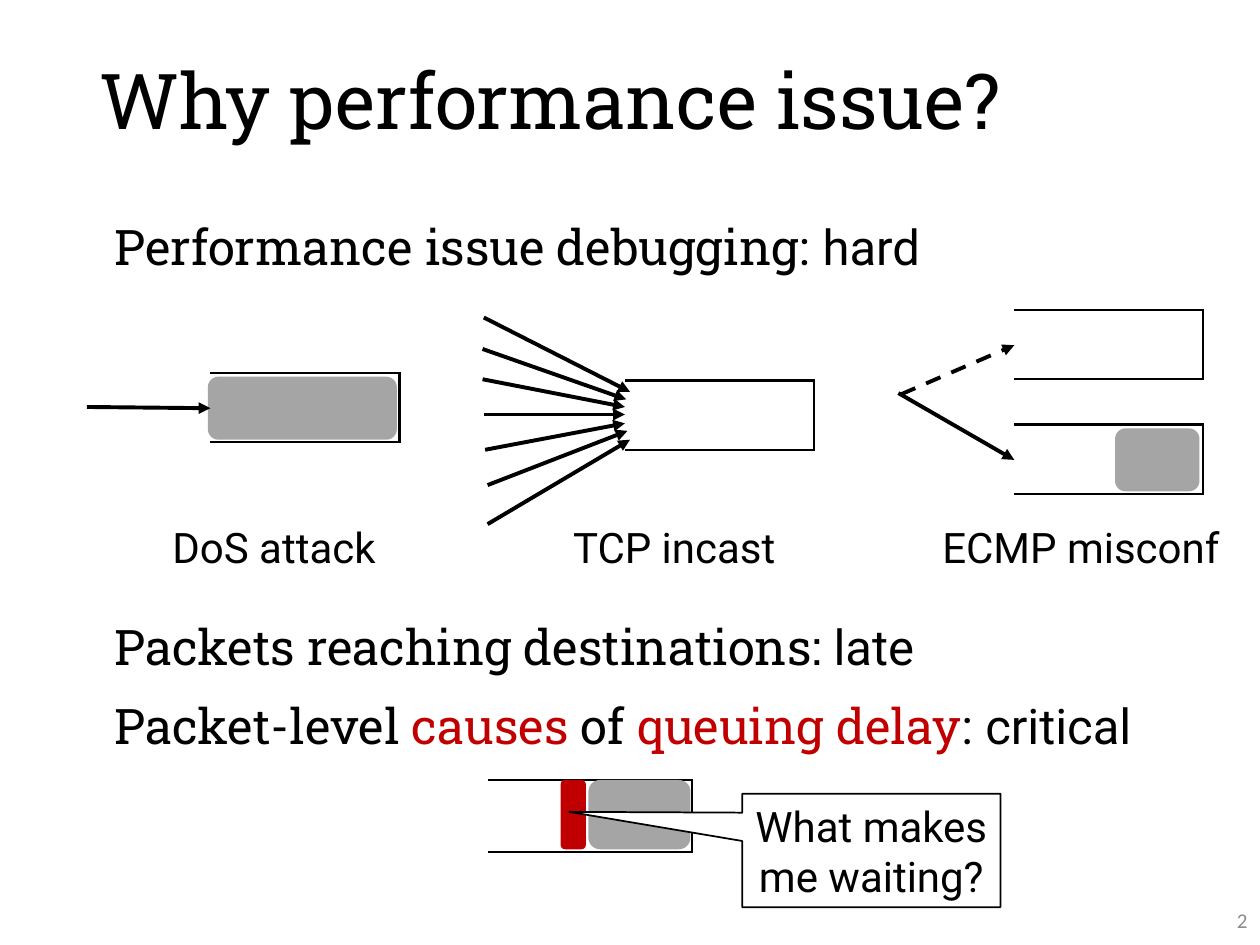
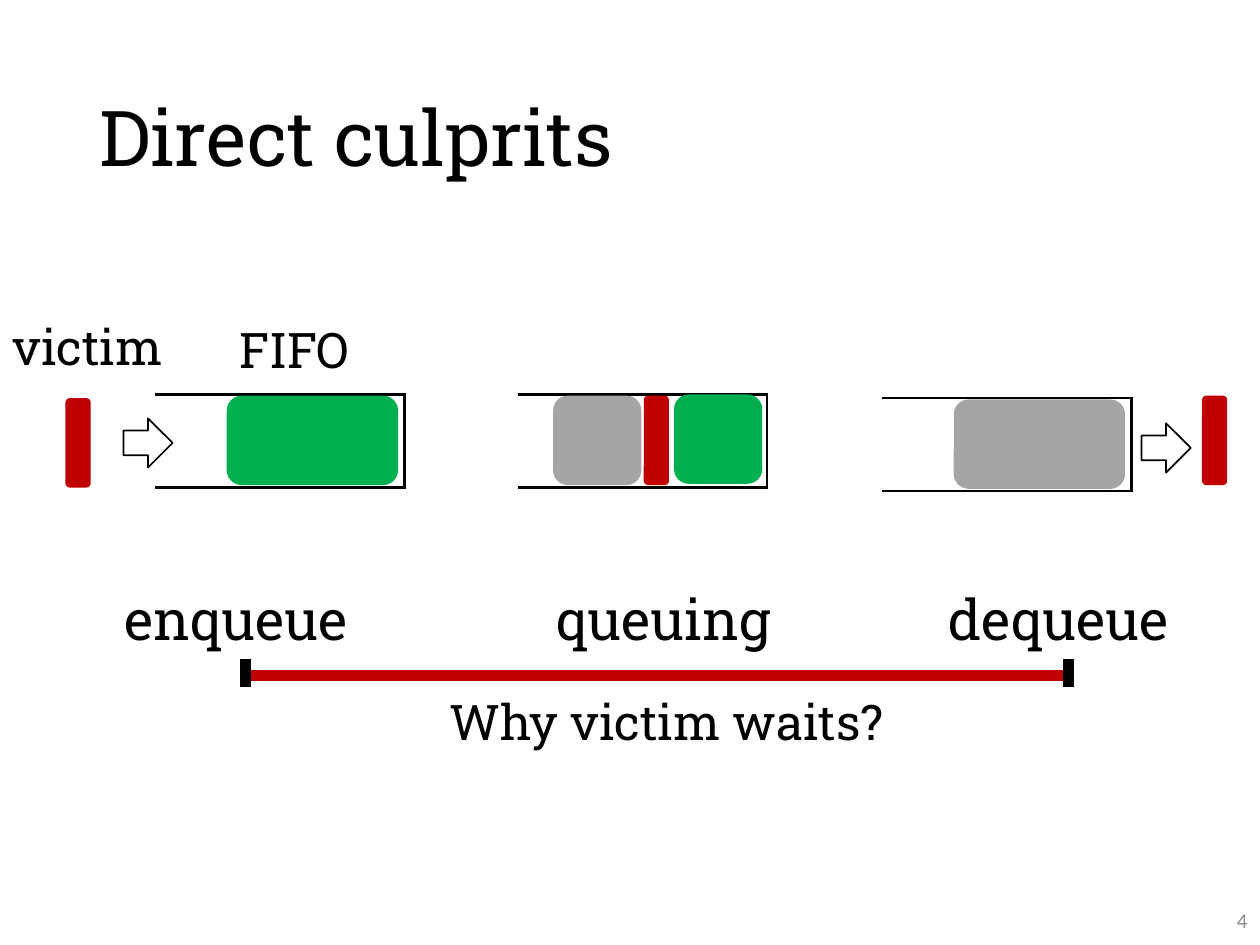
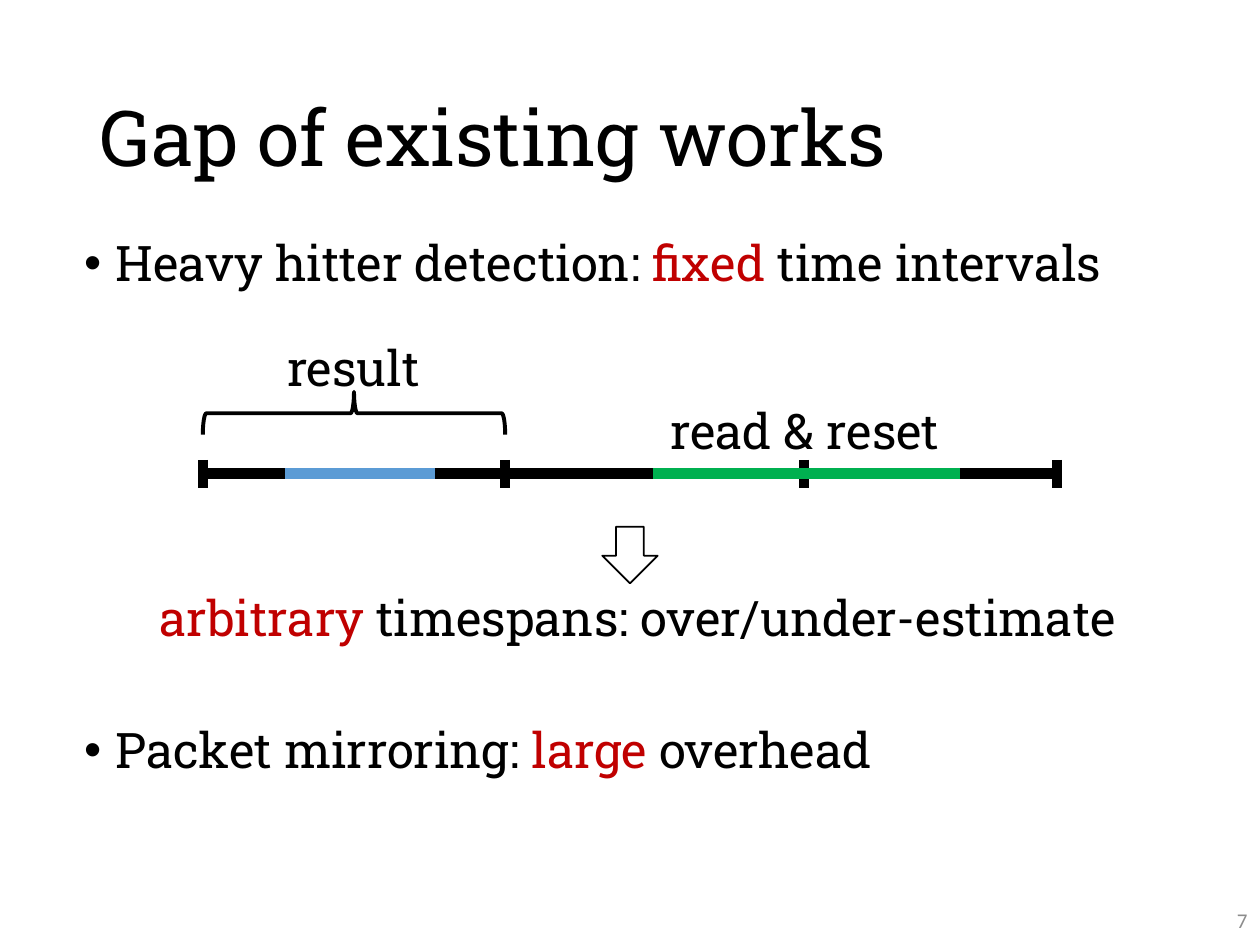
import pptx
import pptx.util
import pptx.dml.color
import pptx.enum.dml
import pptx.enum.shapes
import pptx.enum.text
import pptx.oxml
import pptx.oxml.ns
import lxml.etree

Inches, Pt = pptx.util.Inches, pptx.util.Pt
RGBColor = pptx.dml.color.RGBColor
SHAPE = pptx.enum.shapes.MSO_SHAPE
ALIGN = pptx.enum.text.PP_ALIGN
MIDDLE = pptx.enum.text.MSO_ANCHOR.MIDDLE
qn = pptx.oxml.ns.qn

BLACK = RGBColor(0, 0, 0)
WHITE = RGBColor(255, 255, 255)
RED = RGBColor(0xC0, 0, 0)
GREEN = RGBColor(0, 0xB0, 0x50)
BLUE = RGBColor(0x5B, 0x9B, 0xD5)
GRAY = RGBColor(0xA5, 0xA5, 0xA5)
NUMBER_GRAY = RGBColor(0x8C, 0x8C, 0x8C)
SLAB, SANS, NUMBER_FONT = "Roboto Slab", "Roboto", "Calibri"

# Text is a list of runs: (text, colour, font), the last two optional.
# Performance issues: (runs, box)
STATEMENTS = [
    ([("Packets reaching destinations: ",), ("late", BLACK, SANS)], (0.81, 4.84, 8.81, 0.57)),
    ([("Packet-level ",), ("causes", RED), (" of ",), ("queuing delay", RED),
      (": critical", BLACK, SANS)], (0.81, 5.47, 8.29, 0.57)),
]
ISSUE_QUEUES = [(1.67, 2.96), (4.96, 3.02), (8.05, 2.46), (8.05, 3.37)]
ISSUE_LABELS = [("DoS attack", 1.27, 1.93), ("TCP incast", 4.45, 1.93), ("ECMP misconf", 7.38, 2.62)]
INCAST_FLOWS = [
    ((3.84, 2.52), (5, 3.11)),
    ((3.83, 2.77), (4.97, 3.17)),
    ((3.83, 3.01), (4.96, 3.23)),
    ((3.84, 3.29), (4.96, 3.29)),
    ((3.85, 3.57), (4.96, 3.36)),
    ((3.87, 3.85), (4.98, 3.42)),
    ((3.87, 4.16), (5, 3.49)),
]

# Queue stages: label, label left, queue left, queue top, packets (left, top, width, colour)
STAGES = [
    ("enqueue", 0.89, 1.23, 3.13, [(1.8, 3.14, 1.36, GREEN), (0.52, 3.16, 0.2, RED)]),
    ("queuing", 4.32, 4.11, 3.13,
     [(5.11, 3.14, 0.2, RED), (4.39, 3.14, 0.7, GRAY), (5.35, 3.13, 0.7, GREEN)]),
    ("dequeue", 7.43, 7, 3.16, [(7.57, 3.17, 1.36, GRAY), (9.54, 3.14, 0.2, RED)]),
]
STAGE_ARROWS = [(0.98, 3.32), (9.06, 3.36)]
WAIT_START, WAIT_END, WAIT_Y = 1.95, 8.48, 5.36

# Existing works
WORKS = [
    [("Heavy hitter detection: ",), ("fixed", RED), (" time intervals",)],
    [("Packet mirroring: ",), ("large", RED), (" overhead",)],
]
TIMELINE_Y = 3.76
RESETS = [1.61, 4.01, 6.38, 8.39]
TIMESPANS = [(2.26, 3.45, BLUE), (5.18, 7.62, GREEN)]


def place(box):
    return [Inches(length) for length in box]


def fill_paragraph(paragraph, runs, size):
    for text, *style in runs:
        colour, font = (style + [BLACK, SLAB][len(style):])
        run = paragraph.add_run()
        run.text = text
        run.font.size = Pt(size)
        run.font.name = font
        run.font.color.rgb = colour


def add_text(slide, runs, box, size=28):
    """Add a wrapping text box and return its text frame."""
    text_frame = slide.shapes.add_textbox(*place(box)).text_frame
    text_frame.word_wrap = True
    fill_paragraph(text_frame.paragraphs[0], runs, size)
    return text_frame


def add_shape(slide, kind, box, fill=WHITE, outline=None, width=1):
    shape = slide.shapes.add_shape(kind, *place(box))
    shape.shadow.inherit = False
    if fill is None:
        shape.fill.background()
    else:
        shape.fill.solid()
        shape.fill.fore_color.rgb = fill
    if outline is None:
        shape.line.fill.background()
    else:
        shape.line.color.rgb = outline
        shape.line.width = Pt(width)
    return shape


def add_packet(slide, box, colour):
    return add_shape(slide, SHAPE.ROUNDED_RECTANGLE, box, colour)


def add_line(slide, start, end, colour=BLACK, width=6.0):
    line = slide.shapes.add_connector(
        pptx.enum.shapes.MSO_CONNECTOR.STRAIGHT, *place(start + end))
    line.line.color.rgb = colour
    line.line.width = Pt(width)
    lxml.etree.SubElement(line._element.spPr, qn("a:effectLst"))
    return line


def add_arrow(slide, start, end, dashed=False):
    arrow = add_line(slide, start, end, width=2.25)
    if dashed:
        arrow.line.dash_style = pptx.enum.dml.MSO_LINE.DASH
    outline = arrow._element.spPr.find(qn("a:ln"))
    lxml.etree.SubElement(outline, qn("a:tailEnd"), type="triangle")


def add_tick(slide, x, y):
    add_line(slide, (x, y - 0.11), (x, y + 0.11))


def add_queue(slide, box):
    """Add a one-cell table that is open on its left side."""
    table = slide.shapes.add_table(1, 1, *place(box)).table
    table.first_row = table.horz_banding = False
    cell = table.cell(0, 0)
    cell.fill.solid()
    cell.fill.fore_color.rgb = WHITE
    properties = cell._tc.get_or_add_tcPr()
    for position, side in enumerate(["lnL", "lnR", "lnT", "lnB"]):
        border = lxml.etree.Element(qn("a:" + side), w=str(Pt(1.5)))
        if side == "lnL":
            lxml.etree.SubElement(border, qn("a:noFill"))
        else:
            solid = lxml.etree.SubElement(border, qn("a:solidFill"))
            lxml.etree.SubElement(solid, qn("a:srgbClr"), val=str(BLACK))
        properties.insert(position, border)


def add_bullet(paragraph):
    properties = paragraph._p.get_or_add_pPr()
    properties.set("marL", str(Inches(0.25)))
    properties.set("indent", str(-Inches(0.25)))
    lxml.etree.SubElement(properties, qn("a:buFont"), typeface="Arial")
    lxml.etree.SubElement(properties, qn("a:buChar"), char="•")


def add_slide(presentation, title, number, title_box=(0.69, 0.4, 8.62, 1.45)):
    """Add a blank slide with the shared title and slide number."""
    slide = presentation.slides.add_slide(presentation.slide_layouts[6])
    title_frame = add_text(slide, [(title,)], title_box, 44)
    title_frame.vertical_anchor = MIDDLE
    title_frame.paragraphs[0].line_spacing = 0.9
    number_frame = add_text(
        slide, [(str(number), NUMBER_GRAY, NUMBER_FONT)], (7.75, 7.1, 2.25, 0.4), 12)
    number_frame.vertical_anchor = MIDDLE
    number_frame.paragraphs[0].alignment = ALIGN.RIGHT
    return slide


def build_performance(presentation):
    slide = add_slide(presentation, "Why performance issue?", 2, (0.69, 0.3, 8.62, 1.06))
    heading = add_text(slide, [("Performance issue debugging",), (": hard", BLACK, SANS)],
                       (0.81, 1.72, 8.81, 0.62)).paragraphs[0]
    heading.line_spacing = 0.9
    heading.space_before = Pt(10)
    for runs, box in STATEMENTS:
        add_text(slide, runs, box)
    for left, top in ISSUE_QUEUES:
        add_queue(slide, (left, top, 1.5, 0.55))
    for label, left, width in ISSUE_LABELS:
        add_text(slide, [(label, BLACK, SANS)], (left, 4.09, width, 0.5), 24)

    add_packet(slide, (1.65, 2.99, 1.5, 0.5), GRAY)
    add_packet(slide, (8.85, 3.4, 0.67, 0.5), GRAY)
    add_arrow(slide, (0.69, 3.23), (1.67, 3.24))
    for start, end in INCAST_FLOWS:
        add_arrow(slide, start, end)
    add_arrow(slide, (7.13, 3.12), (8.05, 3.65))
    add_arrow(slide, (7.15, 3.13), (8.05, 2.74), dashed=True)

    add_queue(slide, (3.87, 6.19, 1.62, 0.57))
    add_packet(slide, (4.67, 6.19, 0.81, 0.55), GRAY)
    add_packet(slide, (4.45, 6.19, 0.2, 0.55), RED)
    callout = add_shape(slide, SHAPE.RECTANGULAR_CALLOUT, (5.89, 6.3, 2.05, 0.9), outline=BLACK)
    callout.adjustments[0] = -1.17
    callout.adjustments[1] = -0.34
    callout.text_frame.word_wrap = True
    callout.text_frame.vertical_anchor = MIDDLE
    question = callout.text_frame.paragraphs[0]
    question.alignment = ALIGN.CENTER
    fill_paragraph(question, [("What makes me waiting?", BLACK, SANS)], 24)


def build_culprits(presentation):
    slide = add_slide(presentation, "Direct culprits", 4)
    add_line(slide, (WAIT_START, WAIT_Y), (WAIT_END, WAIT_Y), RED)
    for x in (WAIT_START, WAIT_END):
        add_tick(slide, x, WAIT_Y - 0.02)
    add_text(slide, [("Why victim waits?",)], (3.47, 5.44, 3.76, 0.57))
    for label, label_left, queue_left, queue_top, packets in STAGES:
        add_queue(slide, (queue_left, queue_top, 1.98, 0.74))
        for left, top, width, colour in packets:
            add_packet(slide, (left, top, width, 0.71), colour)
        add_text(slide, [(label,)], (label_left, 4.59, 2.11, 0.64), 32)
    for left, top in STAGE_ARROWS:
        add_shape(slide, SHAPE.RIGHT_ARROW, (left, top, 0.39, 0.39), outline=BLACK)
    add_text(slide, [("victim",)], (0, 2.46, 1.5, 0.57))
    add_text(slide, [("FIFO",)], (1.8, 2.49, 1.2, 0.57))


def build_gap(presentation):
    slide = add_slide(presentation, "Gap of existing works", 7)
    text_frame = add_text(slide, WORKS[0], (0.57, 1.85, 8.87, 4.76))
    fill_paragraph(text_frame.add_paragraph(), WORKS[1], 28)
    for paragraph, space in zip(text_frame.paragraphs, (10, 248)):
        paragraph.line_spacing = 0.9
        paragraph.space_before = Pt(space)
        add_bullet(paragraph)

    add_line(slide, (RESETS[0], TIMELINE_Y), (RESETS[-1], TIMELINE_Y))
    for x in RESETS:
        add_tick(slide, x, TIMELINE_Y)
    for start, end, colour in TIMESPANS:
        add_line(slide, (start, TIMELINE_Y), (end, TIMELINE_Y), colour)
    brace = add_shape(slide, SHAPE.RIGHT_BRACE, (2.64, 2.08, 0.34, 2.4), None, BLACK, 2.25)
    brace.rotation = 270
    add_text(slide, [("result",)], (2.18, 2.63, 1.27, 0.57))
    add_text(slide, [("read & reset",)], (5.22, 3.13, 2.69, 0.57))
    add_shape(slide, SHAPE.DOWN_ARROW, (4.78, 4.18, 0.44, 0.45), outline=BLACK)
    add_text(slide, [("arbitrary", RED), (" timespans: over/under-estimate",)],
             (1.17, 4.61, 8.27, 0.57))


def main():
    presentation = pptx.Presentation()
    presentation.slide_width = Inches(10)
    presentation.slide_height = Inches(7.5)
    build_performance(presentation)
    build_culprits(presentation)
    build_gap(presentation)
    presentation.save("out.pptx")


if __name__ == "__main__":
    main()
